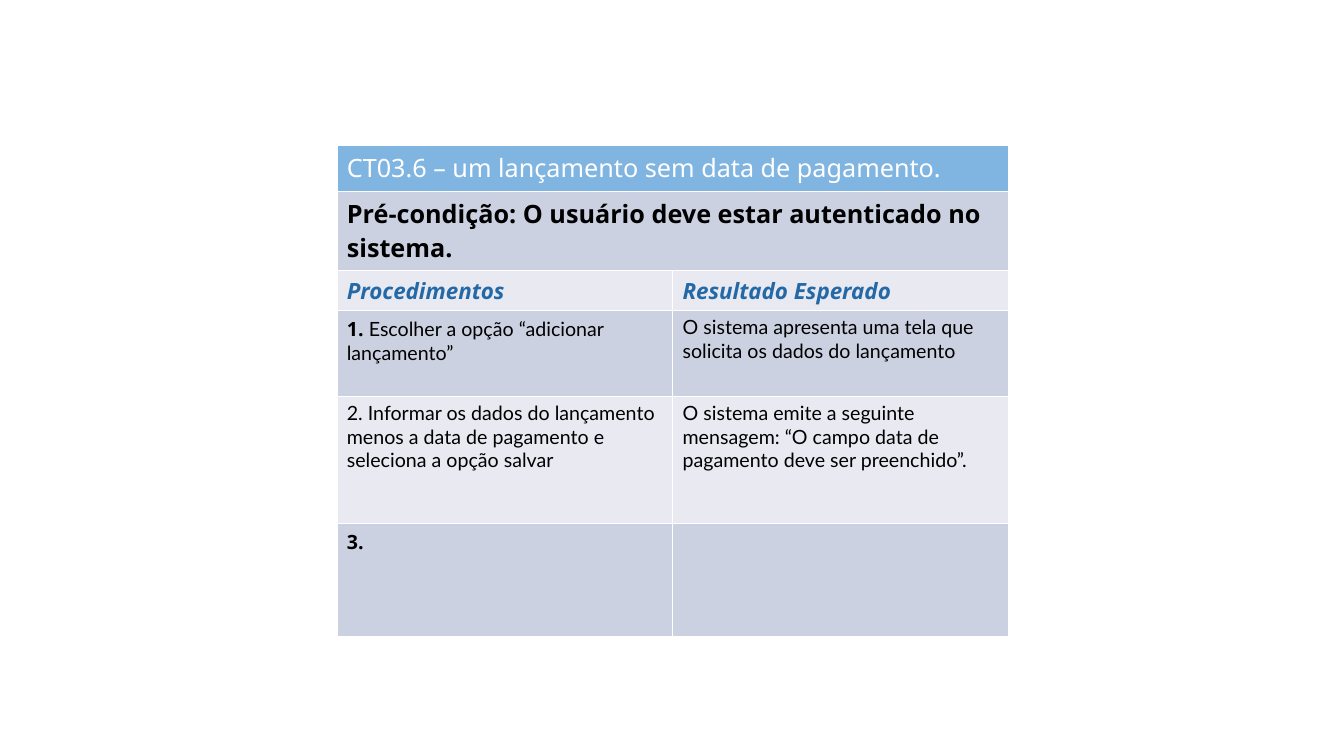
from lxml.etree import SubElement as Sub
from pptx import Presentation
from pptx.dml.color import RGBColor as Rgb
from pptx.oxml.ns import qn
from pptx.util import Inches, Pt

WHITE, BLACK, BLUE = "FFFFFF", "000000", "2469A6"
HEAD, DARK, LIGHT = "80B5E2", "CCD1E1", "E8E9F1"
STYLES = {
    "title": (WHITE, dict(name="Noto Sans", size=Pt(18), bold=False)),
    "setup": (BLACK, dict(name="Noto Sans", size=Pt(18), bold=True)),
    "label": (BLUE, dict(name="Noto Sans", size=Pt(16), bold=True, italic=True)),
    "step": (BLACK, dict(name="Noto Sans", size=Pt(14), bold=True)),
    "body": (BLACK, dict(name="Lato", size=Pt(14), bold=False)),
}
ROWS = [
    (0.46, HEAD, [[("title", "CT03.6 – um lançamento sem data de pagamento.")]]),
    (0.78, DARK, [[("setup", "Pré-condição: O usuário deve estar autenticado "
                             "no sistema.")]]),
    (0.4, LIGHT, [[("label", "Procedimentos")], [("label", "Resultado Esperado")]]),
    (0.85, DARK, [
        [("step", "1. "), ("body", "Escolher a opção “adicionar lançamento”")],
        [("body", "O sistema apresenta uma tela que solicita os dados do "
                  "lançamento")]]),
    (1.26, LIGHT, [
        [("body", "2. Informar os dados do lançamento menos a data de "
                  "pagamento e seleciona a opção salvar")],
        [("body", "O sistema emite a seguinte mensagem: “O campo data de "
                  "pagamento deve ser preenchido”.")]]),
    (1.12, DARK, [[("step", "3. ")], []]),
]


def color(code):
    """Turn a hex string into a colour."""
    return Rgb.from_string(code)


def border(cell):
    """Draw thin white lines on all sides of a cell."""
    props = cell._tc.get_or_add_tcPr()
    for side in "LRTB":
        line = Sub(props, qn(f"a:ln{side}"), w=str(Pt(0.25)))
        Sub(Sub(line, qn("a:solidFill")), qn("a:srgbClr"), val=WHITE)


def paint(cell, fill):
    """Give a cell its borders and fill."""
    border(cell)
    cell.fill.solid()
    cell.fill.fore_color.rgb = color(fill)


def write(cell, parts):
    """Write styled runs into a cell."""
    para = cell.text_frame.paragraphs[0]
    if parts and parts[0][0] != "body":
        para.line_spacing = 0.98
    for style, text in parts:
        run = para.add_run()
        run.text = text
        tint, form = STYLES[style]
        for key, value in form.items():
            setattr(run.font, key, value)
        run.font.color.rgb = color(tint)


def add_case(slide):
    """Add the test case table."""
    frame = slide.shapes.add_table(len(ROWS), 2, Inches(3.34), Inches(1.44),
                                   Inches(6.66), Inches(4.87))
    table = frame.table
    for col in table.columns:
        col.width = Inches(3.33)
    for index, (height, fill, texts) in enumerate(ROWS):
        row = table.rows[index]
        row.height = Inches(height)
        for cell in row.cells:
            paint(cell, fill)
        if len(texts) == 1:
            row.cells[0].merge(row.cells[1])
        for cell, parts in zip(row.cells, texts):
            write(cell, parts)


def main():
    """Build the slide and save it."""
    deck = Presentation()
    deck.slide_width, deck.slide_height = Inches(13.33), Inches(7.5)
    slide = deck.slides.add_slide(deck.slide_layouts[6])
    add_case(slide)
    deck.save("out.pptx")


main()
